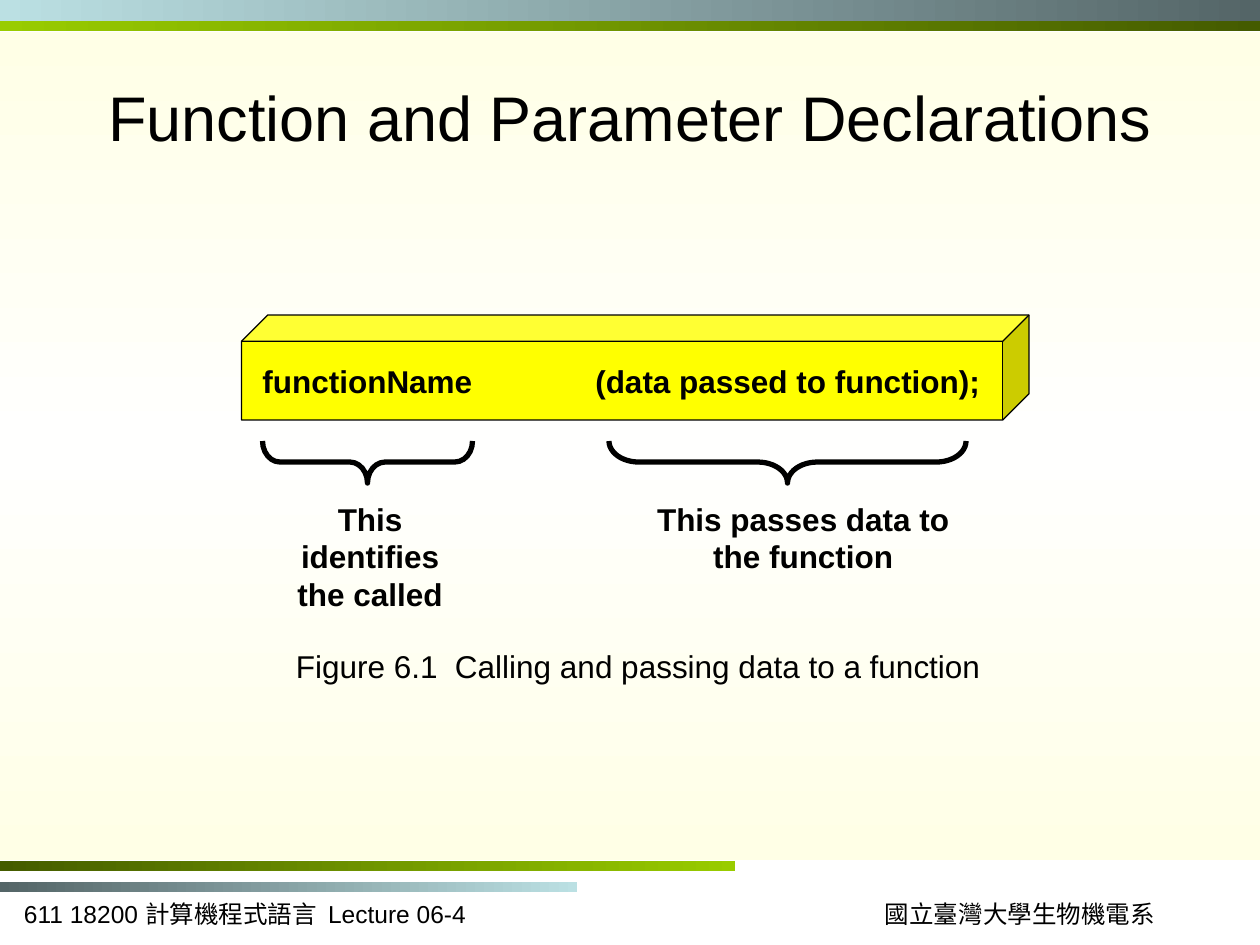
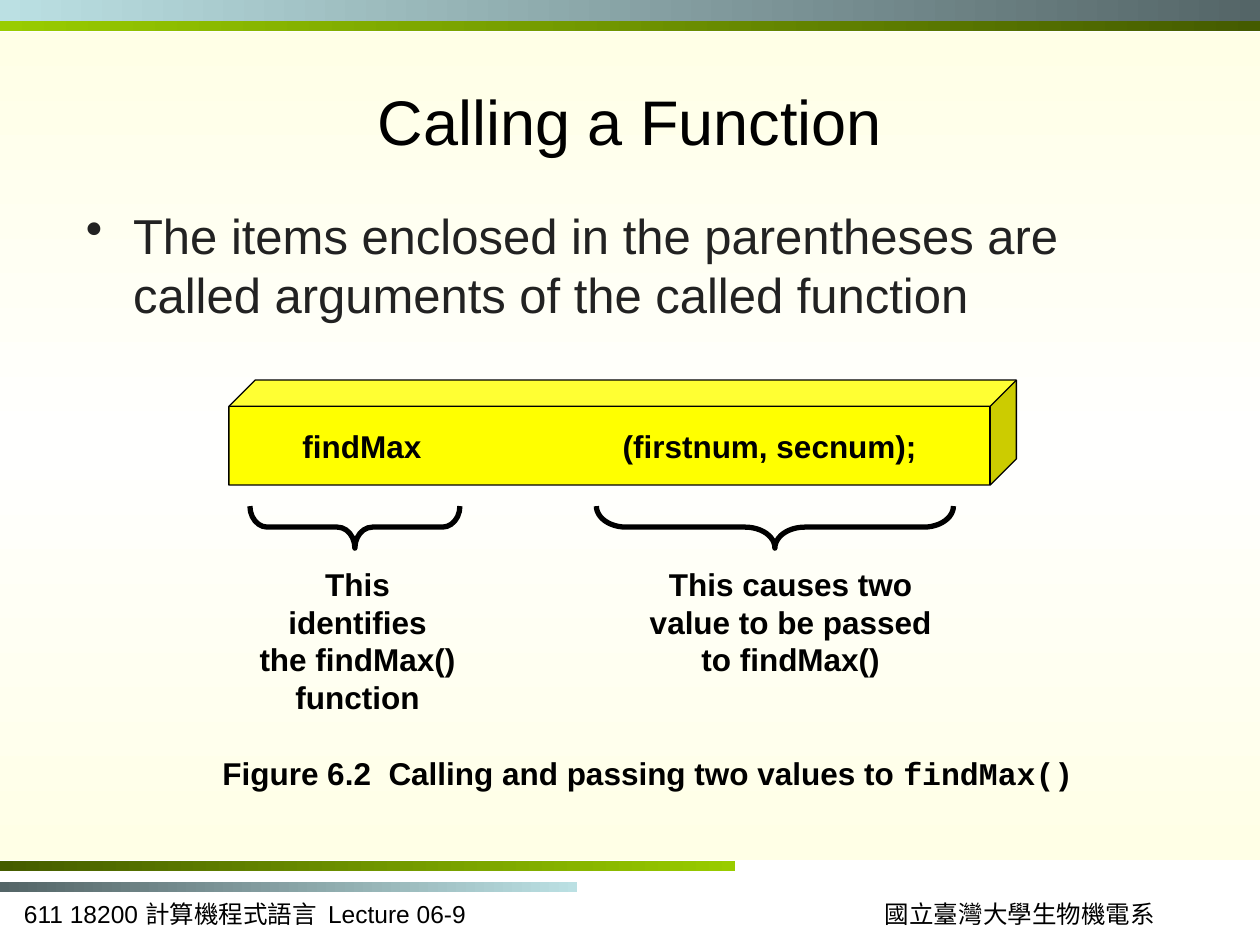
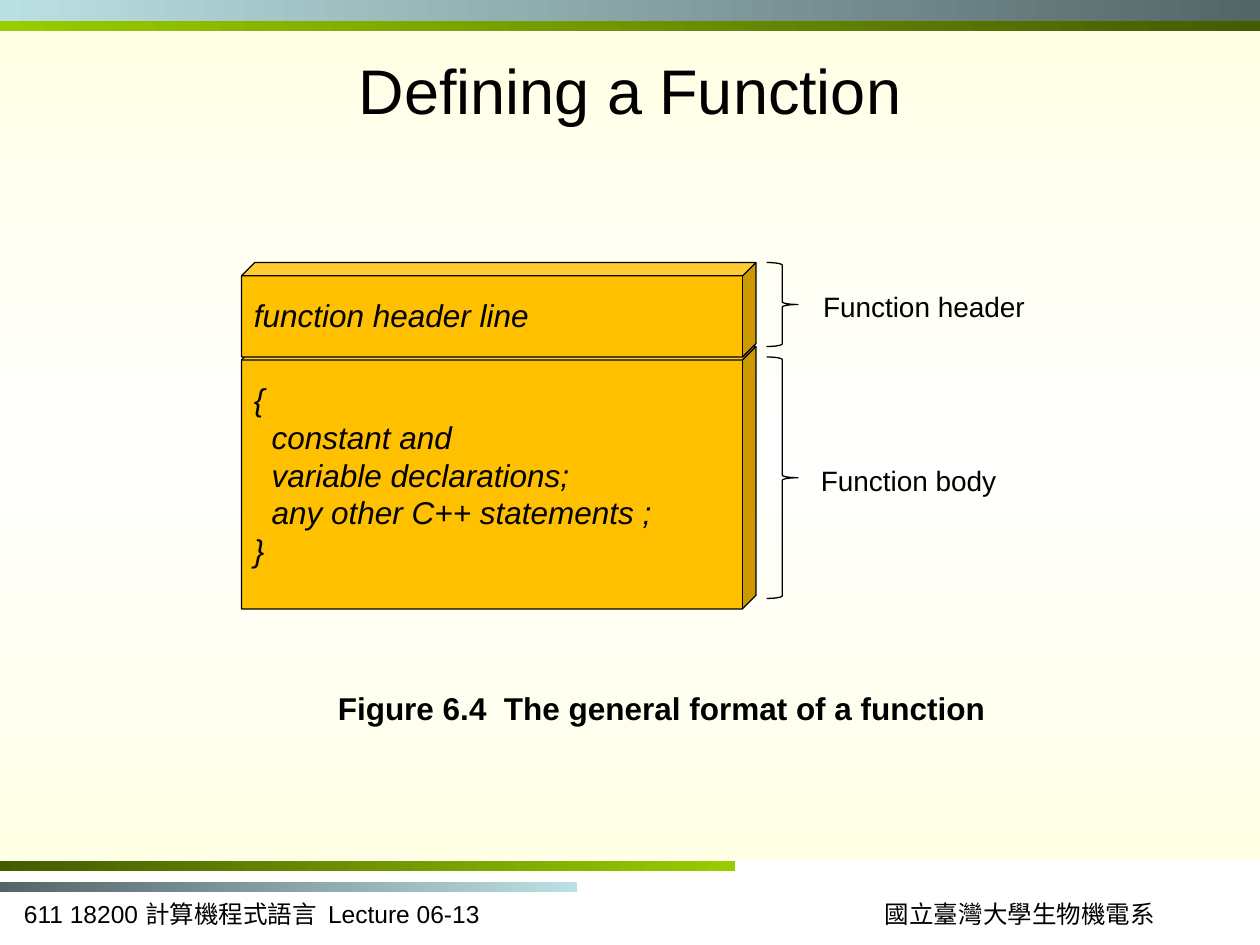
from copy import deepcopy

from pptx import Presentation
from pptx.dml.color import RGBColor
from pptx.enum import shapes, text
from pptx.oxml.ns import qn
from pptx.util import Emu, Pt

PX = 7620
WIDE, HIGH = 1200, 900
INK, BODY = "000000", "222222"
YELLOW, AMBER = "FFFF00", "FFC000"
LIME, MOSS = "99CC00", "445B00"
SKY, SLATE = "BBE0E3", "546567"
CREAM, PALE = "FFFFE6", "FFFFFE"
SANS, SERIF, MONO = "Arial", "Times New Roman", "Courier New"
KIND = shapes.MSO_SHAPE
LEFT, MID = text.PP_ALIGN.LEFT, text.PP_ALIGN.CENTER


def px(n):
    return Emu(n * PX)


def rgb(code):
    return RGBColor.from_string(code)


def write(frame, lines, size=18, font=SANS, color=INK, bold=False,
          slant=False, align=LEFT):
    for i, line in enumerate(lines):
        para = frame.paragraphs[0] if i == 0 else frame.add_paragraph()
        para.alignment = align
        runs = [(line, font)] if isinstance(line, str) else line
        for words, face in runs:
            run = para.add_run()
            run.text = words
            run.font.name = face
            run.font.size = Pt(size)
            run.font.bold = bold
            run.font.italic = slant
            run.font.color.rgb = rgb(color)


def label(slide, box, lines, wrap=False, anchor=text.MSO_ANCHOR.TOP, **style):
    frame = slide.shapes.add_textbox(*map(px, box)).text_frame
    frame.word_wrap = wrap
    frame.vertical_anchor = anchor
    write(frame, lines, **style)
    return frame


def shape(slide, kind, box, fill=None, line=None, adj=None):
    item = slide.shapes.add_shape(kind, *map(px, box))
    item.shadow.inherit = False
    if fill:
        item.fill.solid()
        item.fill.fore_color.rgb = rgb(fill)
    else:
        item.fill.background()
    if line:
        item.line.color.rgb = rgb(INK)
        item.line.width = Pt(line)
    else:
        item.line.fill.background()
    if adj:
        item.adjustments[0] = adj
    return item


def blend(slide, box, colors, angle=0):
    fill = shape(slide, KIND.RECTANGLE, box).fill
    fill.gradient()
    fill.gradient_angle = angle
    stops = fill.gradient_stops
    first = stops[0]._gs
    for _ in colors[2:]:
        first.addnext(deepcopy(first))
    for i, (stop, color) in enumerate(zip(fill.gradient_stops, colors)):
        stop.color.rgb = rgb(color)
        stop.position = i / (len(colors) - 1)


def frame_page(slide, page):
    blend(slide, (0, 19, WIDE, 11), (LIME, MOSS))
    label(slide, (11, 850, 570, 40),
          [f"611 18200 計算機程式語言  Lecture 06-{page}"], True, size=14)
    label(slide, (830, 850, 283, 40), ["國立臺灣大學生物機電系"], True,
          size=14, font=SERIF, align=MID)
    blend(slide, (0, 30, WIDE, 789), (CREAM, PALE, CREAM), 90)
    blend(slide, (0, 840, 550, 10), (SLATE, SKY))
    blend(slide, (0, 820, 700, 10), (MOSS, LIME))
    blend(slide, (0, 0, WIDE, 20), (SKY, SLATE))


def start(deck, page, title, box):
    slide = deck.slides.add_slide(deck.slide_layouts[6])
    frame_page(slide, page)
    label(slide, box, [title], True, text.MSO_ANCHOR.MIDDLE,
          size=36, align=MID)
    return slide


def bullet(slide, box, words):
    para = label(slide, box, [words], True, size=28, color=BODY).paragraphs[0]
    para.space_before = Pt(5.6)
    props = para._p.get_or_add_pPr()
    props.set("marL", str(px(45)))
    props.set("indent", str(px(-45)))
    mark = props.makeelement(qn("a:buChar"), {"char": "•"})
    props.append(mark)


def set_tab(para, pos):
    props = para._p.get_or_add_pPr()
    tabs = props.makeelement(qn("a:tabLst"), {})
    tabs.append(tabs.makeelement(qn("a:tab"), {"pos": str(px(pos)), "algn": "l"}))
    props.append(tabs)


def call(slide, x, y, names, inset, tab, notes):
    cube = shape(slide, KIND.CUBE, (x, y, 750, 100), YELLOW, 0.75, 0.25)
    frame = cube.text_frame
    frame.word_wrap = True
    frame.margin_left = px(inset)
    frame.vertical_anchor = text.MSO_ANCHOR.MIDDLE
    write(frame, ["\t".join(names)], bold=True)
    set_tab(frame.paragraphs[0], tab)
    for dx, dy, span, adj in ((100, 40, 200, 0.417), (500, -30, 340, 0.708)):
        brace = shape(slide, KIND.LEFT_BRACE, (x + dx, y + dy, 40, span),
                      line=3, adj=adj)
        brace.rotation = 270
    for lines, dx, wide, wrap in zip(notes, (10, 370), (225, 330), (False, True)):
        label(slide, (x + dx, y + 170, wide, 84), lines, wrap,
              bold=True, align=MID)


def block(slide, box, adj, lines):
    frame = shape(slide, KIND.CUBE, box, AMBER, 0.75, adj).text_frame
    frame.word_wrap = True
    frame.vertical_anchor = text.MSO_ANCHOR.TOP
    frame.margin_top = px(19)
    write(frame, lines, slant=True)
    return frame


def layers(slide, x, y):
    code = ["{", "constant and", "variable declarations;",
            "any other C++ statements ;", "}"]
    body = block(slide, (x, y + 80, 490, 250), 0.052, code)
    for para in body.paragraphs[1:-1]:
        para._p.get_or_add_pPr().set("marL", str(px(17)))
    block(slide, (x, y, 490, 90), 0.141, ["function header line"])
    for name, top, high, dx, dy in (("Function header", 0, 80, 542, 20),
                                    ("Function body", 90, 230, 540, 186)):
        shape(slide, KIND.RIGHT_BRACE, (x + 500, y + top, 30, high), line=0.75)
        label(slide, (x + dx, y + dy, 15 * len(name), 44), [name], size=16)


def main():
    deck = Presentation()
    deck.slide_width, deck.slide_height = px(WIDE), px(HIGH)

    slide = start(deck, 4, "Function and Parameter Declarations",
                  (60, 36, 1080, 150))
    label(slide, (270, 610, 694, 48),
          ["Figure 6.1  Calling and passing data to a function"])
    call(slide, 230, 300, ("functionName", "(data passed to function);"), 20, 317,
         (["This identifies", "the called"],
          ["This passes data to", "the function"]))

    slide = start(deck, 9, "Calling a Function", (70, 40, 1060, 150))
    bullet(slide, (70, 190, 1070, 670),
           "The items enclosed in the parentheses are called arguments "
           "of the called function")
    label(slide, (200, 712, 860, 48),
          [[("Figure 6.2  Calling and passing two values to ", SANS),
            ("findMax()", MONO)]], bold=True)
    call(slide, 218, 362, ("findMax", "(firstnum, secnum);"), 70, 305,
         (["This identifies", "the findMax()", "function"],
          ["This causes two value to be passed", "to findMax()"]))

    slide = start(deck, 13, "Defining a Function", (70, 10, 1060, 150))
    label(slide, (310, 650, 670, 48),
          ["Figure 6.4  The general format of a function"], True, bold=True)
    layers(slide, 230, 250)

    deck.save("out.pptx")


if __name__ == "__main__":
    main()
